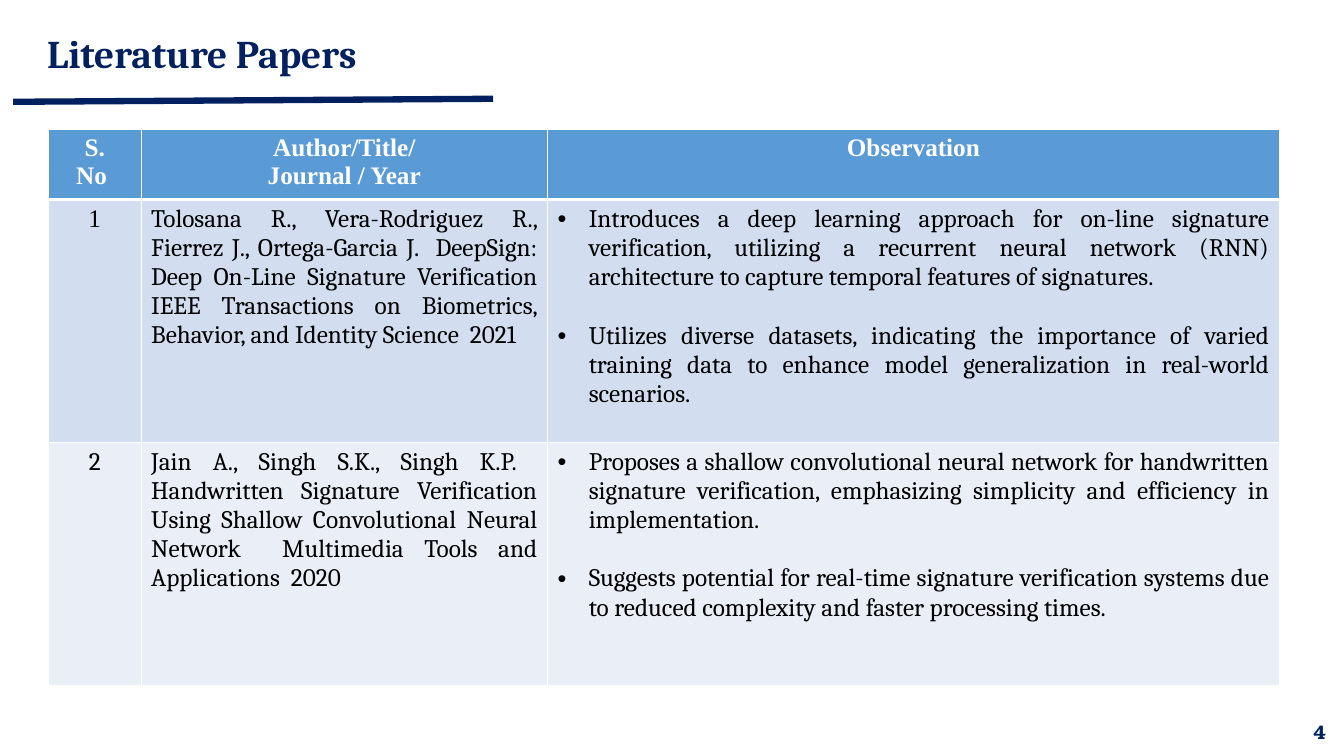
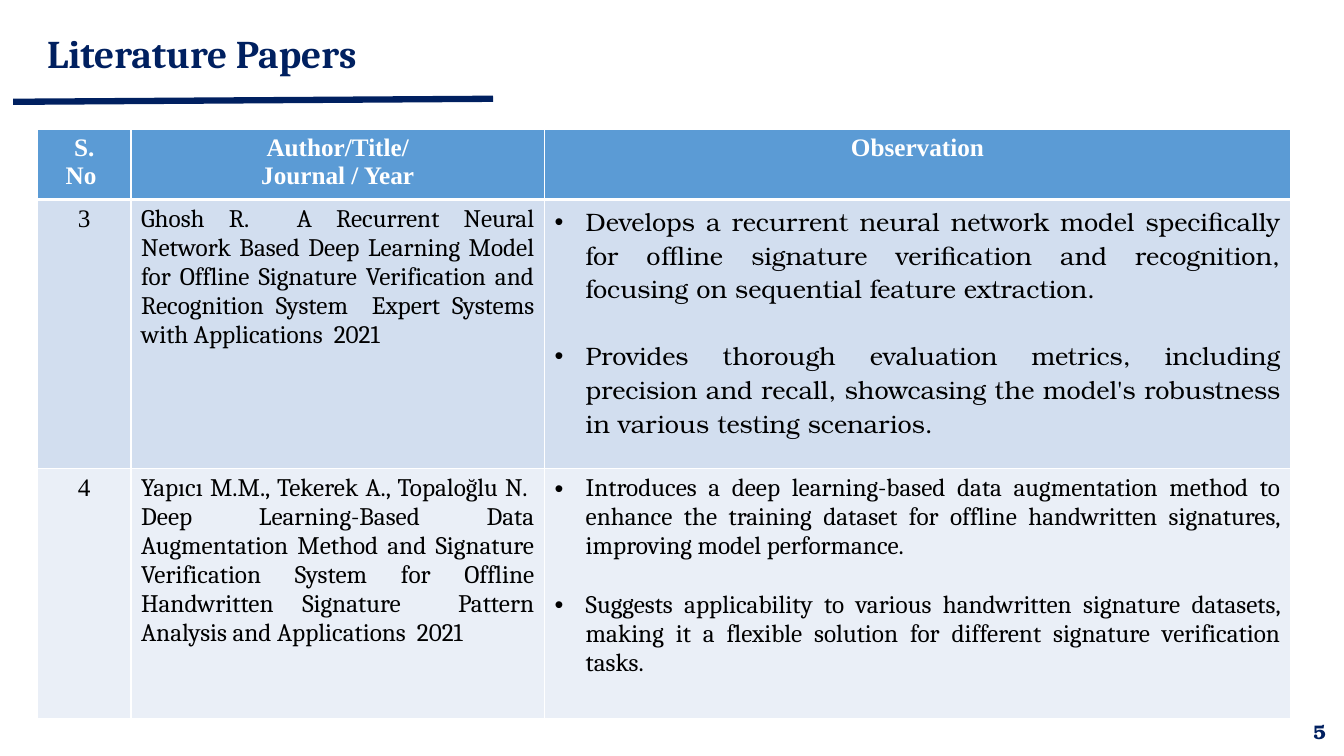
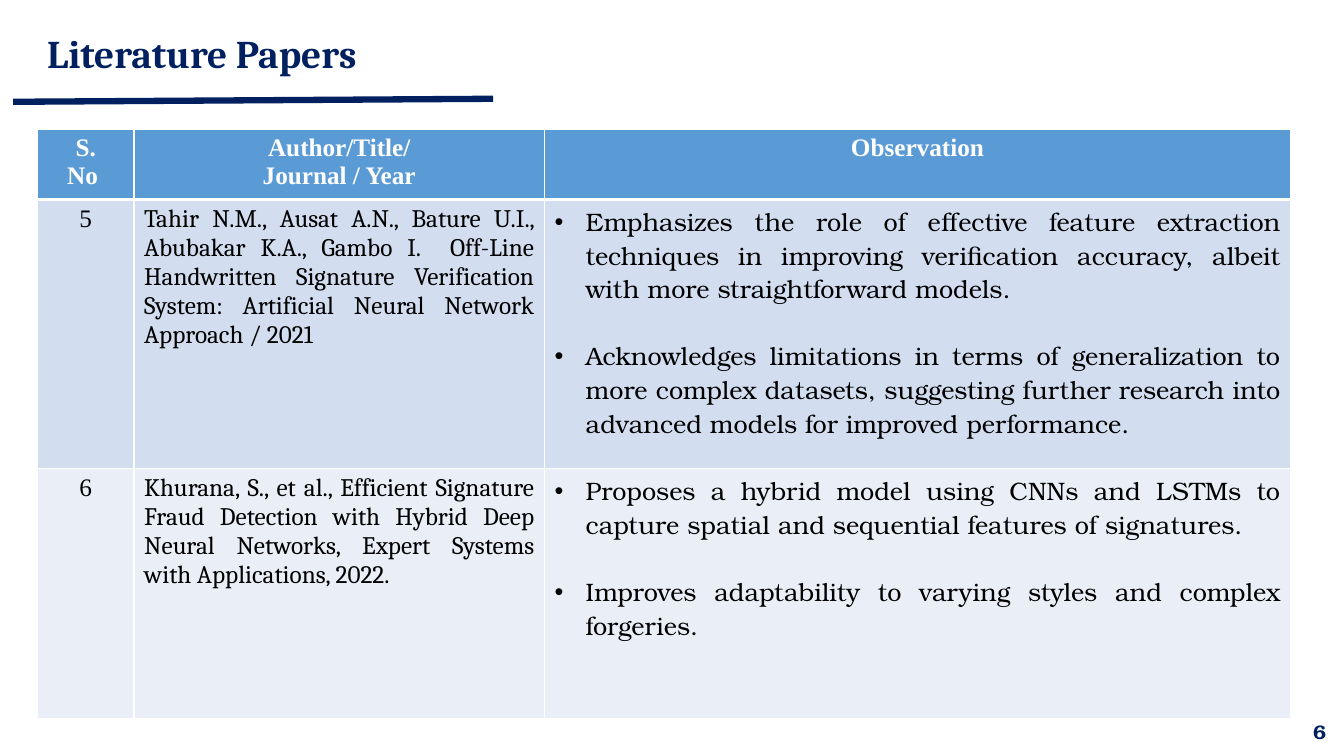
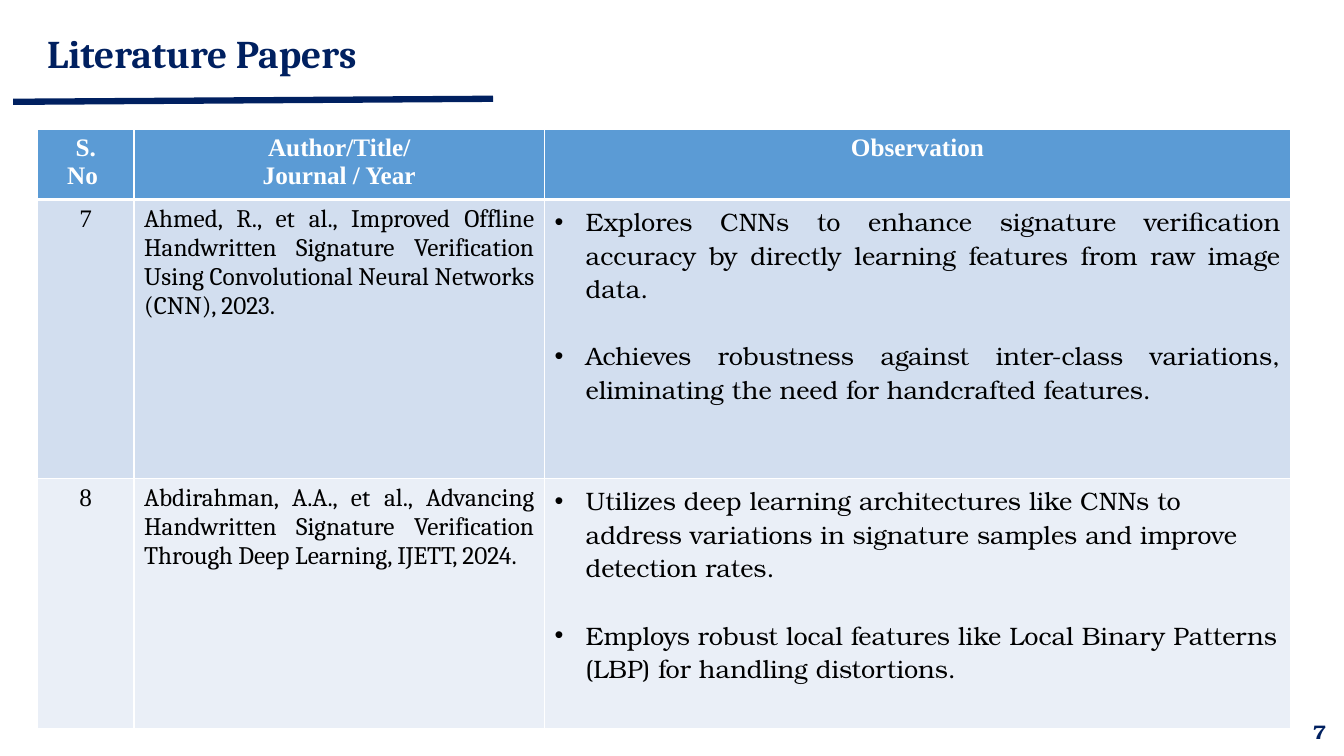
import pptx
import pptx.util
import pptx.dml.color
import pptx.enum.shapes
import pptx.enum.text
import pptx.oxml
import pptx.oxml.ns

Inches, Pt = pptx.util.Inches, pptx.util.Pt
ALIGN = pptx.enum.text.PP_ALIGN
ANCHOR = pptx.enum.text.MSO_ANCHOR

COLORS = {"navy": "002060", "head": "5B9BD5", "odd": "D2DEEF",
          "even": "EAEFF7", "white": "FFFFFF", "black": "000000"}
CAMBRIA, BONUM, TIMES = "Cambria", "TeX Gyre Bonum", "Times New Roman"
GAPS = {CAMBRIA: 21, BONUM: 24}  # one line of body text, in points
HEADS = ["S.\nNo ", "Author/Title/\nJournal / Year", "Observation"]
NARROW, WIDE = [0.92, 4.03, 7.26], [0.96, 4.07, 7.4]

# One page: number, left edge, column widths, row heights, papers.
# One paper: number, its font, citation, points, their font and alignment.
PAGES = [
    (4, 0.48, NARROW, [0.68, 2.41, 2.41], [
        ("1", TIMES,
         "Tolosana R., Vera-Rodriguez R., Fierrez J., Ortega-Garcia J.  DeepSign: Deep On-Line "
         "Signature Verification IEEE Transactions on Biometrics, Behavior, and Identity Science  2021",
         ["Introduces a deep learning approach for on-line signature verification, utilizing a "
          "recurrent neural network (RNN) architecture to capture temporal features of signatures.",
          "Utilizes diverse datasets, indicating the importance of varied training data to enhance "
          "model generalization in real-world scenarios."], CAMBRIA, ALIGN.JUSTIFY),
        ("2", CAMBRIA,
         "Jain A., Singh S.K., Singh K.P.  Handwritten Signature Verification Using Shallow "
         "Convolutional Neural Network  Multimedia Tools and Applications  2020",
         ["Proposes a shallow convolutional neural network for handwritten signature verification, "
          "emphasizing simplicity and efficiency in implementation.",
          "Suggests potential for real-time signature verification systems due to reduced "
          "complexity and faster processing times."], CAMBRIA, ALIGN.JUSTIFY)]),
    (5, 0.37, [0.93, 4.1, 7.4], [0.68, 2.67, 2.48], [
        ("3", TIMES,
         "Ghosh R.  A Recurrent Neural Network Based Deep Learning Model for Offline Signature "
         "Verification and Recognition System  Expert Systems with Applications  2021",
         ["Develops a recurrent neural network model specifically for offline signature verification "
          "and recognition, focusing on sequential feature extraction.",
          "Provides thorough evaluation metrics, including precision and recall, showcasing the "
          "model's robustness in various testing scenarios."], BONUM, ALIGN.JUSTIFY),
        ("4", TIMES,
         "Yapıcı M.M., Tekerek A., Topaloğlu N.  Deep Learning-Based Data Augmentation Method and "
         "Signature Verification System for Offline Handwritten Signature  Pattern Analysis and "
         "Applications  2021",
         ["Introduces a deep learning-based data augmentation method to enhance the training dataset "
          "for offline handwritten signatures, improving model performance.",
          "Suggests applicability to various handwritten signature datasets, making it a flexible "
          "solution for different signature verification tasks."], CAMBRIA, ALIGN.JUSTIFY)]),
    (6, 0.37, WIDE, [0.68, 2.67, 2.48], [
        ("5", TIMES,
         "Tahir N.M., Ausat A.N., Bature U.I., Abubakar K.A., Gambo I.  Off-Line Handwritten "
         "Signature Verification System: Artificial Neural Network Approach / 2021",
         ["Emphasizes the role of effective feature extraction techniques in improving verification "
          "accuracy, albeit with more straightforward models.",
          "Acknowledges limitations in terms of generalization to more complex datasets, suggesting "
          "further research into advanced models for improved performance."], BONUM, ALIGN.JUSTIFY),
        ("6", TIMES,
         "Khurana, S., et al., Efficient Signature Fraud Detection with Hybrid Deep Neural Networks, "
         "Expert Systems with Applications, 2022.",
         ["Proposes a hybrid model using CNNs and LSTMs to capture spatial and sequential features "
          "of signatures.",
          "Improves adaptability to varying styles and complex forgeries."], BONUM, ALIGN.JUSTIFY)]),
    (7, 0.37, WIDE, [0.68, 2.77, 2.48], [
        ("7", TIMES,
         "Ahmed, R., et al., Improved Offline Handwritten Signature Verification Using Convolutional "
         "Neural Networks (CNN), 2023.",
         ["Explores CNNs to enhance signature verification accuracy by directly learning features "
          "from raw image\vdata.",
          "Achieves robustness against inter-class variations, eliminating the need for handcrafted "
          "features."], BONUM, ALIGN.JUSTIFY),
        ("8", TIMES,
         "Abdirahman, A.A., et al., Advancing Handwritten Signature Verification Through Deep "
         "Learning, IJETT, 2024.",
         ["Utilizes deep learning architectures like CNNs to address variations in signature samples "
          "and improve detection rates.",
          "Employs robust local features like Local Binary Patterns (LBP) for handling distortions."],
         BONUM, ALIGN.LEFT)]),
]


def color(name):
    return pptx.dml.color.RGBColor.from_string(COLORS[name])


def write(frame, text, font, size, ink, bold=False, align=ALIGN.LEFT):
    frame.text = text
    frame.word_wrap = True
    for para in frame.paragraphs:
        para.alignment = align
        for run in para.runs:
            run.font.name, run.font.size, run.font.bold = font, Pt(size), bold
            run.font.color.rgb = color(ink)


def label(slide, box, text, font, size, align):
    frame = slide.shapes.add_textbox(*map(Inches, box)).text_frame
    write(frame, text, font, size, "navy", True, align)
    frame.vertical_anchor = ANCHOR.MIDDLE
    return frame


def bullet(para, gap):
    props = para._p.get_or_add_pPr()
    props.set("marL", str(Inches(0.31)))
    props.set("indent", str(-Inches(0.31)))
    para.space_before = Pt(gap)
    for tag, key, value in (("buFont", "typeface", "Arial"), ("buChar", "char", "•")):
        item = pptx.oxml.parse_xml(f'<a:{tag} {pptx.oxml.ns.nsdecls("a")} {key}="{value}"/>')
        props.append(item)


def paint(cell, fill, top=1, base=1):
    # Borders come before the fill in the cell's properties
    props = cell._tc.get_or_add_tcPr()
    for side, width in (("L", 1), ("R", 1), ("T", top), ("B", base)):
        props.append(pptx.oxml.parse_xml(
            f'<a:ln{side} {pptx.oxml.ns.nsdecls("a")} w="{Pt(width)}"><a:solidFill>'
            f'<a:srgbClr val="{COLORS["white"]}"/></a:solidFill></a:ln{side}>'))
    cell.fill.solid()
    cell.fill.fore_color.rgb = color(fill)


def frame_page(slide, number):
    # Rule under the title
    rule = slide.shapes.add_connector(pptx.enum.shapes.MSO_CONNECTOR.STRAIGHT,
                                      *map(Inches, (0.13, 1.01, 4.89, 0.98)))
    rule.line.color.rgb = color("navy")
    rule.line.width = Pt(4.5)
    rule._element.spPr.append(
        pptx.oxml.parse_xml(f'<a:effectLst {pptx.oxml.ns.nsdecls("a")}/>'))
    # Title and page number
    title = label(slide, (0.37, 0.23, 10.68, 0.65), "Literature Papers", CAMBRIA, 28, ALIGN.LEFT)
    title.paragraphs[0].line_spacing = 0.9
    label(slide, (10.25, 7.06, 3, 0.4), str(number), BONUM, 14, ALIGN.RIGHT)


def paper_table(slide, left, top, widths, heights, papers):
    box = (left, top, sum(widths), sum(heights))
    table = slide.shapes.add_table(len(heights), len(widths), *map(Inches, box)).table
    for col, width in zip(table.columns, widths):
        col.width = Inches(width)
    for row, height in zip(table.rows, heights):
        row.height = Inches(height)
    # Header row
    for cell, text in zip(table.rows[0].cells, HEADS):
        write(cell.text_frame, text, TIMES, 18, "white", True, ALIGN.CENTER)
        paint(cell, "head", base=3)
    # One row for each paper
    for index, (number, face, cite, points, font, align) in enumerate(papers, 1):
        cells = table.rows[index].cells
        write(cells[0].text_frame, number, face, 18, "black", align=ALIGN.CENTER)
        write(cells[1].text_frame, cite, CAMBRIA, 18, "black", align=ALIGN.JUSTIFY)
        write(cells[2].text_frame, "\n".join(points), font, 18, "black", align=align)
        for order, para in enumerate(cells[2].text_frame.paragraphs):
            bullet(para, GAPS[font] if order else 0)
        for cell in cells:
            paint(cell, "odd" if index % 2 else "even", top=3 if index == 1 else 1)


def main():
    deck = pptx.Presentation()
    deck.slide_width, deck.slide_height = Inches(13.33), Inches(7.5)
    for number, left, widths, heights, papers in PAGES:
        slide = deck.slides.add_slide(deck.slide_layouts[6])
        frame_page(slide, number)
        paper_table(slide, left, 1.28, widths, heights, papers)
    deck.save("out.pptx")


if __name__ == "__main__":
    main()
